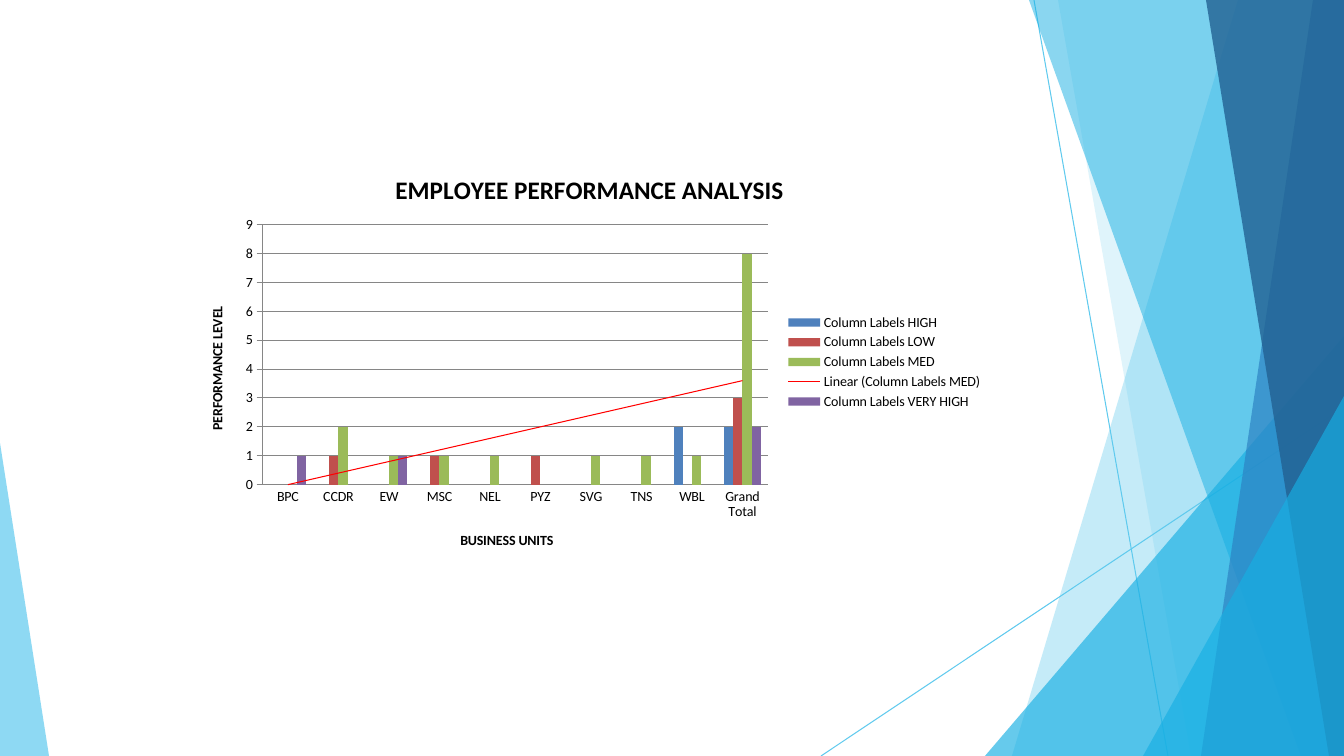
from lxml import etree
from pptx import Presentation
from pptx.chart.data import CategoryChartData
from pptx.dml.color import RGBColor
from pptx.enum.chart import XL_CHART_TYPE, XL_LEGEND_POSITION, XL_TICK_MARK
from pptx.enum.shapes import MSO_CONNECTOR
from pptx.oxml import parse_xml
from pptx.oxml.ns import nsdecls, qn
from pptx.util import Emu, Pt

COLUMNS = XL_CHART_TYPE.COLUMN_CLUSTERED
LEGEND_RIGHT = XL_LEGEND_POSITION.RIGHT
TICK_NONE, TICK_OUT = XL_TICK_MARK.NONE, XL_TICK_MARK.OUTSIDE
STRAIGHT = MSO_CONNECTOR.STRAIGHT

WIDTH, HEIGHT = 1344, 756
SCALE = 12192000 / WIDTH
FONT = "Calibri"
COLORS = {
    "sky": "5FCAEE", "cyan": "17AFE3", "blue": "2D83C3", "navy": "226192",
    "black": "000000", "grid": "868686", "trend": "FF0000",
    "high": "4F81BD", "low": "C0504D", "med": "9BBB59", "very_high": "8064A2",
}


def px(length):
    return Emu(round(length * SCALE))


def rgb(name):
    return RGBColor.from_string(COLORS[name])


presentation = Presentation()
presentation.slide_width = px(WIDTH)
presentation.slide_height = px(HEIGHT)
slide = presentation.slides.add_slide(presentation.slide_layouts[6])

for start_x, start_y, end_x, end_y in [(1034, 0, 1168, HEIGHT), (WIDTH, 407, 821, HEIGHT)]:
    connector = slide.shapes.add_connector(
        STRAIGHT, px(start_x), px(start_y), px(end_x), px(end_y))
    connector.line.color.rgb = rgb("sky")
    connector.line.width = Pt(0.75)
    etree.SubElement(connector._element.spPr, qn("a:effectLst"))

TOP_RIGHT, BOTTOM_RIGHT = (WIDTH, 0), (WIDTH, HEIGHT)
facets = [
    ("sky", 36, [TOP_RIGHT, (1238, 0), (1012, HEIGHT), BOTTOM_RIGHT]),
    ("sky", 20, [TOP_RIGHT, (1058, 0), (1191, HEIGHT), BOTTOM_RIGHT]),
    ("cyan", 66, [(WIDTH, 336), (985, HEIGHT), BOTTOM_RIGHT]),
    ("cyan", 50, [TOP_RIGHT, (1029, 0), (1301, HEIGHT), BOTTOM_RIGHT]),
    ("blue", 70, [TOP_RIGHT, (1313, 0), (1201, HEIGHT), BOTTOM_RIGHT]),
    ("navy", 80, [TOP_RIGHT, (1206, 0), (1329, HEIGHT), BOTTOM_RIGHT]),
    ("cyan", 66, [(WIDTH, 396), (1143, HEIGHT), BOTTOM_RIGHT]),
    ("sky", 70, [(0, 443), (0, HEIGHT), (49, HEIGHT)]),
]
for color, opacity, points in facets:
    builder = slide.shapes.build_freeform(*points[0], scale=SCALE)
    builder.add_line_segments(points[1:], close=True)
    shape = builder.convert_to_shape()
    shape.shadow.inherit = False
    shape.line.fill.background()
    shape.fill.solid()
    shape.fill.fore_color.rgb = rgb(color)
    color_element = shape._element.spPr.find(qn("a:solidFill"))[0]
    etree.SubElement(color_element, qn("a:alpha"), val=str(opacity * 1000))

performance = [
    ("HIGH", "high", [None] * 8 + [2, 2]),
    ("LOW", "low", [None, 1, None, 1, None, 1, None, None, None, 3]),
    ("MED", "med", [None, 2, 1, 1, 1, None, 1, 1, 1, 8]),
    ("VERY HIGH", "very_high", [1, None, 1] + [None] * 6 + [2]),
]
chart_data = CategoryChartData()
chart_data.categories = ["BPC", "CCDR", "EW", "MSC", "NEL", "PYZ", "SVG", "TNS", "WBL", "Grand Total"]
for level, color, values in performance:
    chart_data.add_series(f"Column Labels {level}", values)

chart = slide.shapes.add_chart(COLUMNS, px(186), px(154), px(807), px(416), chart_data).chart
chart.font.name = FONT
chart.font.size = Pt(10)
chart.font.color.rgb = rgb("black")
chart.has_legend = True
chart.legend.position = LEGEND_RIGHT
chart.legend.include_in_layout = False

plot = chart.plots[0]
plot.gap_width = 150
plot.overlap = 0
plot.vary_by_categories = False
for series, (level, color, values) in zip(plot.series, performance):
    series.format.fill.solid()
    series.format.fill.fore_color.rgb = rgb(color)

trendline = parse_xml(
    f'<c:trendline {nsdecls("c", "a")}><c:spPr><a:ln w="9525"><a:solidFill>'
    f'<a:srgbClr val="{COLORS["trend"]}"/></a:solidFill></a:ln></c:spPr>'
    '<c:trendlineType val="linear"/><c:dispRSqr val="0"/><c:dispEq val="0"/></c:trendline>')
plot.series[2]._element.find(qn("c:cat")).addprevious(trendline)

category_axis, value_axis = chart.category_axis, chart.value_axis
category_axis.major_tick_mark = TICK_NONE
value_axis.major_tick_mark = TICK_OUT
value_axis.minimum_scale = 0
value_axis.maximum_scale = 9
value_axis.major_unit = 1
value_axis.has_major_gridlines = True
for line in (category_axis.format.line, value_axis.format.line, value_axis.major_gridlines.format.line):
    line.color.rgb = rgb("grid")
    line.width = Pt(0.75)

for owner, title, size in [
    (chart, "EMPLOYEE PERFORMANCE ANALYSIS", 18),
    (category_axis, "BUSINESS UNITS", 10),
    (value_axis, "PERFORMANCE LEVEL", 10),
]:
    title_object = owner.chart_title if owner is chart else owner.axis_title
    title_object.text_frame.text = title
    font = title_object.text_frame.paragraphs[0].runs[0].font
    font.name = FONT
    font.size = Pt(size)
    font.bold = True
    font.color.rgb = rgb("black")

plot_area = chart._chartSpace.chart.plotArea
for layout in plot_area.findall(qn("c:layout")):
    plot_area.remove(layout)
plot_area.insert(0, parse_xml(
    f'<c:layout {nsdecls("c")}><c:manualLayout><c:layoutTarget val="inner"/>'
    '<c:xMode val="edge"/><c:yMode val="edge"/><c:x val="0.095"/><c:y val="0.17"/>'
    '<c:w val="0.626"/><c:h val="0.625"/></c:manualLayout></c:layout>'))

presentation.save("out.pptx")
